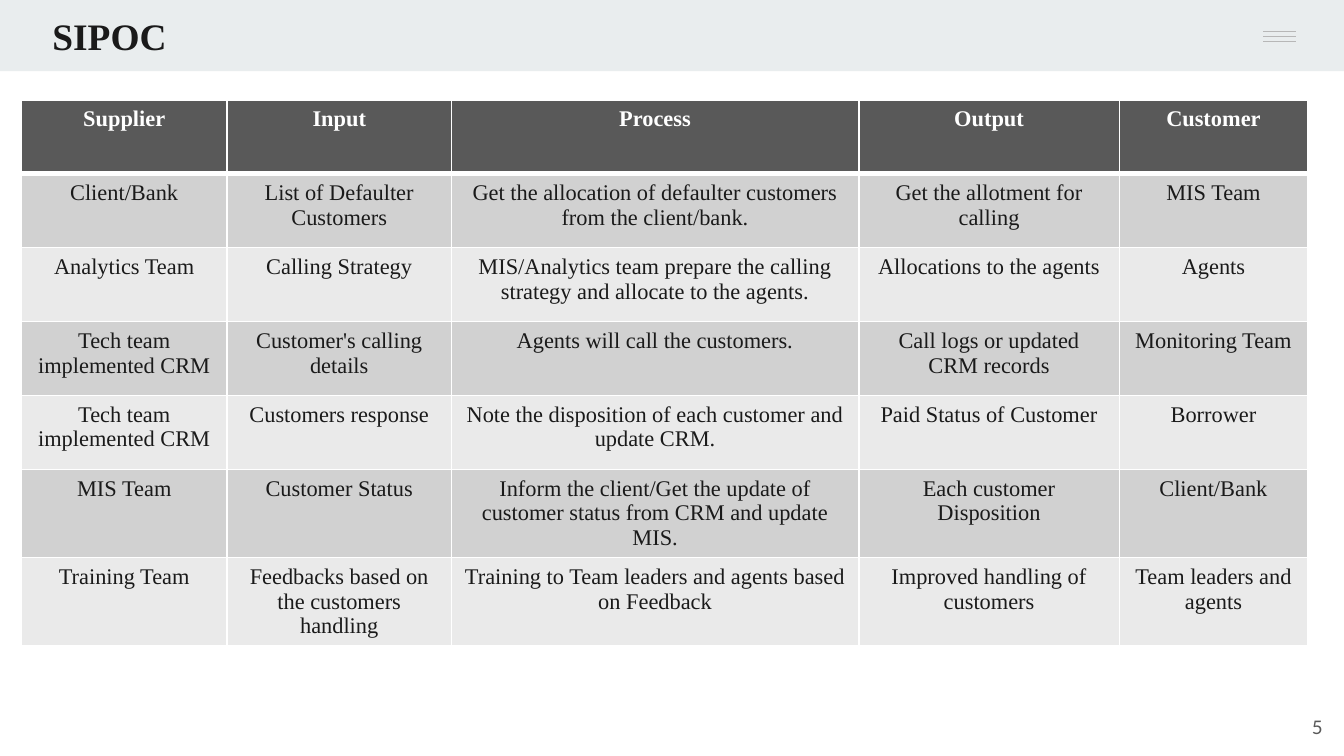
from lxml.etree import SubElement
from pptx import Presentation
from pptx.dml.color import RGBColor
from pptx.enum.shapes import MSO_CONNECTOR, MSO_SHAPE
from pptx.enum.text import MSO_ANCHOR, MSO_AUTO_SIZE, PP_ALIGN
from pptx.oxml.ns import qn
from pptx.util import Inches, Pt

COLORS = {
    "band": "E9EDEE",
    "menu": "B7B7B7",
    "ink": "1A1A1A",
    "header": "595959",
    "odd": "D1D1D1",
    "even": "EAEAEA",
    "white": "FFFFFF",
}
SERIF = "Times New Roman"


def write_text(frame, text, size=12, font=SERIF, color="ink", bold=False, align=PP_ALIGN.CENTER):
    paragraph = frame.paragraphs[0]
    paragraph.alignment = align
    run = paragraph.add_run()
    run.text = text
    run.font.name = font
    run.font.size = Pt(size)
    run.font.bold = bold
    run.font.color.rgb = RGBColor.from_string(COLORS[color])


def set_borders(cell, **widths):
    properties = cell._tc.get_or_add_tcPr()
    for position, (side, width) in enumerate(widths.items()):
        line = properties.makeelement(qn(f"a:{side}"), {"w": str(Pt(width))})
        fill = SubElement(line, qn("a:solidFill"))
        SubElement(fill, qn("a:srgbClr"), {"val": COLORS["white"]})
        properties.insert(position, line)


presentation = Presentation()
presentation.slide_width = WIDTH = Inches(10)
presentation.slide_height = HEIGHT = WIDTH * 9 // 16
slide = presentation.slides.add_slide(presentation.slide_layouts[5])
shapes = slide.shapes
band_height = Inches(0.53)

band = shapes.add_shape(MSO_SHAPE.RECTANGLE, 0, 0, WIDTH, band_height)
band.shadow.inherit = False
band.fill.solid()
band.fill.fore_color.rgb = RGBColor.from_string(COLORS["band"])
band.line.fill.background()

menu_left, menu_right = int(WIDTH * 0.94), int(WIDTH * 0.964)
for row in range(3):
    y = int(HEIGHT * (0.042 + row * 0.0065))
    bar = shapes.add_connector(MSO_CONNECTOR.STRAIGHT, menu_left, y, menu_right, y)
    bar.line.color.rgb = RGBColor.from_string(COLORS["menu"])
    bar.line.width = Pt(0.75)
    SubElement(bar._element.spPr, qn("a:effectLst"))

title = shapes.title
title.left, title.top = Inches(0.22), 0
title.width, title.height = Inches(4.26), band_height
title_frame = title.text_frame
title_frame.auto_size = MSO_AUTO_SIZE.NONE
title_frame.vertical_anchor = MSO_ANCHOR.MIDDLE
title_frame.margin_left = Inches(0.17)
title_frame.margin_top = title_frame.margin_bottom = Inches(0.1)
write_text(title_frame, "SIPOC", size=20, bold=True, align=PP_ALIGN.LEFT)
title.element.getparent().append(title.element)

rows = [
    ("Supplier", "Input", "Process", "Output", "Customer"),
    ("Client/Bank", "List of Defaulter Customers",
     "Get the allocation of defaulter customers from the client/bank.",
     "Get the allotment for calling", "MIS Team"),
    ("Analytics Team", "Calling Strategy",
     "MIS/Analytics team prepare the calling strategy and allocate to the agents.",
     "Allocations to the agents", "Agents"),
    ("Tech team implemented CRM", "Customer's calling details",
     "Agents will call the customers.",
     "Call logs or updated CRM records", "Monitoring Team"),
    ("Tech team implemented CRM", "Customers response",
     "Note the disposition of each customer and update CRM.",
     "Paid Status of Customer", "Borrower"),
    ("MIS Team", "Customer Status",
     "Inform the client/Get the update of customer status from CRM and update MIS.",
     "Each customer Disposition", "Client/Bank"),
    ("Training Team", "Feedbacks based on the customers handling",
     "Training to Team leaders and agents based on Feedback",
     "Improved handling of customers", "Team leaders and agents"),
]
column_widths = [1.53, 1.67, 3.03, 1.94, 1.4]
row_height = Inches(0.55)
table = shapes.add_table(
    len(rows), len(column_widths), Inches(0.16), int(HEIGHT * 0.132),
    Inches(sum(column_widths)), row_height * len(rows),
).table
for column, width in zip(table.columns, column_widths):
    column.width = Inches(width)

for row_index, row in enumerate(rows):
    is_header = row_index == 0
    fill_name = "header" if is_header else "odd" if row_index % 2 else "even"
    for column_index, text in enumerate(row):
        cell = table.cell(row_index, column_index)
        cell.fill.solid()
        cell.fill.fore_color.rgb = RGBColor.from_string(COLORS[fill_name])
        set_borders(cell, lnL=1, lnR=1, lnT=3 if row_index == 1 else 1, lnB=3 if is_header else 1)
        write_text(cell.text_frame, text, color="white" if is_header else "ink", bold=is_header)

number_height = Inches(0.43)
number = shapes.add_textbox(int(WIDTH * 0.934), HEIGHT - number_height, int(WIDTH * 0.06), number_height)
number.text_frame.word_wrap = True
number.text_frame.vertical_anchor = MSO_ANCHOR.MIDDLE
write_text(number.text_frame, "5", size=10, font="Lato", color="header", align=PP_ALIGN.RIGHT)

presentation.save("out.pptx")
